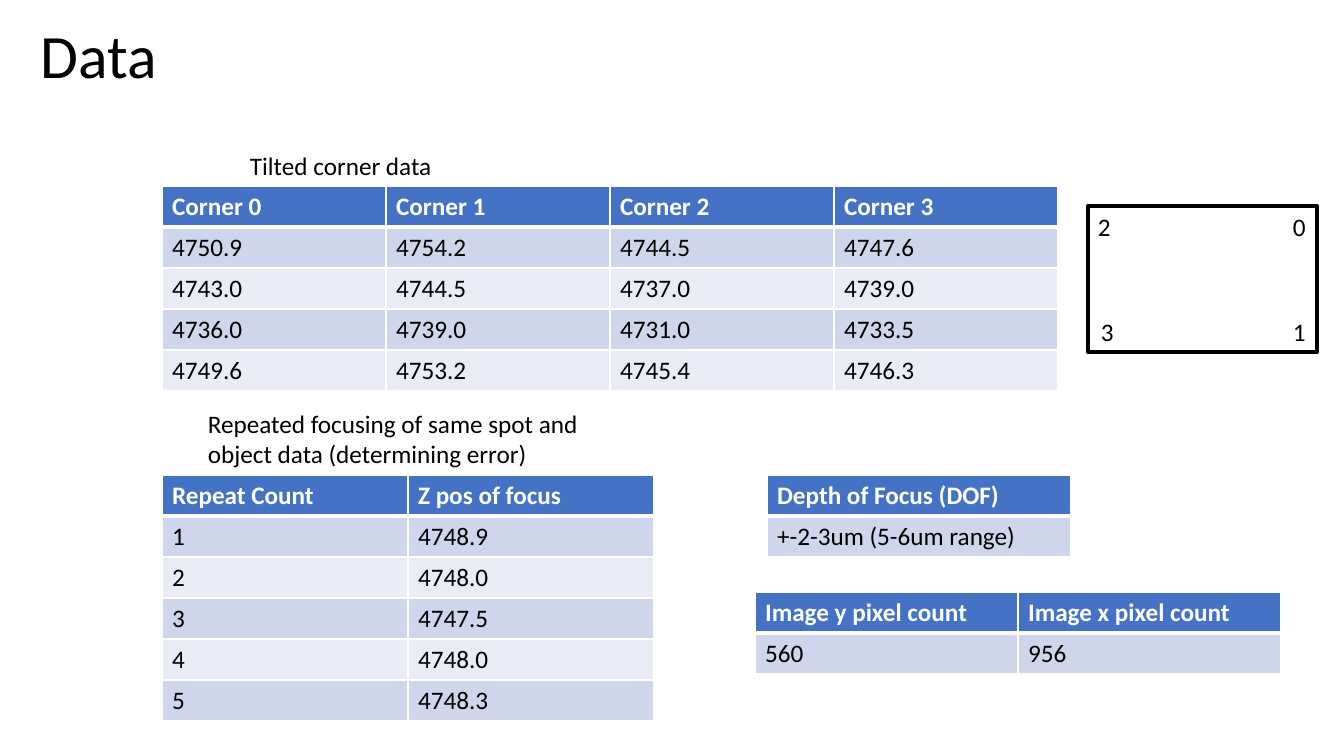
from lxml import etree
from pptx import Presentation
from pptx.dml.color import RGBColor
from pptx.enum.shapes import MSO_SHAPE
from pptx.enum.text import MSO_ANCHOR
from pptx.oxml.ns import qn
from pptx.util import Pt

RECTANGLE = MSO_SHAPE.RECTANGLE
MIDDLE = MSO_ANCHOR.MIDDLE
PX = 12192000 / 1344  # EMU per px
FONT = "Calibri"
BLACK, WHITE = "000000", "FFFFFF"
HEADER_BLUE = "4472C4"
BANDS = ["CFD5EA", "E9EBF5"]
ROW_HEIGHT = 41

presentation = Presentation()
presentation.slide_width = int(1344 * PX)
presentation.slide_height = int(756 * PX)
slide = presentation.slides.add_slide(presentation.slide_layouts[6])


def add_text(text, left, top, width, height, size=18, wrap=True):
    box = slide.shapes.add_textbox(*(int(n * PX) for n in (left, top, width, height)))
    box.text_frame.word_wrap = wrap
    box.text_frame.text = text
    font = box.text_frame.paragraphs[0].runs[0].font
    font.name, font.size = FONT, Pt(size)
    font.color.rgb = RGBColor.from_string(BLACK)
    return box


def add_data_table(left, top, column_width, rows):
    columns = len(rows[0])
    frame = slide.shapes.add_table(
        len(rows), columns, int(left * PX), int(top * PX),
        int(columns * column_width * PX), int(len(rows) * ROW_HEIGHT * PX))
    table = frame.table
    for column in table.columns:
        column.width = int(column_width * PX)
    for r, values in enumerate(rows):
        is_header = r == 0
        for c, value in enumerate(values):
            cell = table.cell(r, c)
            cell.text = value
            font = cell.text_frame.paragraphs[0].runs[0].font
            font.name, font.size, font.bold = FONT, Pt(18), is_header
            font.color.rgb = RGBColor.from_string(WHITE if is_header else BLACK)
            cell.fill.solid()
            cell.fill.fore_color.rgb = RGBColor.from_string(
                HEADER_BLUE if is_header else BANDS[(r - 1) % 2])

            # White borders, thicker under the header
            properties = cell._tc.get_or_add_tcPr()
            top_width = 3 if r == 1 else 1
            bottom_width = 3 if is_header else 1
            sides = [("L", 1), ("R", 1), ("T", top_width), ("B", bottom_width)]
            for index, (side, points) in enumerate(sides):
                line = etree.Element(qn(f"a:ln{side}"), w=str(Pt(points)))
                fill = etree.SubElement(line, qn("a:solidFill"))
                etree.SubElement(fill, qn("a:srgbClr"), val=WHITE)
                properties.insert(index, line)


# Title
title = add_text("Data", 31, 15, 194, 88, size=44, wrap=False)
title.text_frame.vertical_anchor = MIDDLE
title.text_frame.paragraphs[0].line_spacing = 0.9

# Tilted corner measurements
add_text("Tilted corner data", 240, 145, 204, 40, wrap=False)
add_data_table(162, 186, 224, [
    ["Corner 0", "Corner 1", "Corner 2", "Corner 3"],
    ["4750.9", "4754.2", "4744.5", "4747.6"],
    ["4743.0", "4744.5", "4737.0", "4739.0"],
    ["4736.0", "4739.0", "4731.0", "4733.5"],
    ["4749.6", "4753.2", "4745.4", "4746.3"],
])

# Corner numbering diagram
corner_frame = slide.shapes.add_shape(
    RECTANGLE, *(int(n * PX) for n in (1088, 206, 229, 146)))
corner_frame.shadow.inherit = False
corner_frame.fill.background()
corner_frame.line.color.rgb = RGBColor.from_string(BLACK)
corner_frame.line.width = Pt(3)
for number, left, top in [("0", 1283, 206), ("1", 1283, 311),
                          ("2", 1088, 206), ("3", 1091, 311)]:
    add_text(number, left, top, 40, 40)

# Repeated focusing
add_text("Repeated focusing of same spot and object data (determining error)",
         198, 403, 421, 72)
add_data_table(162, 475, 246, [
    ["Repeat Count", "Z pos of focus"],
    ["1", "4748.9"],
    ["2", "4748.0"],
    ["3", "4747.5"],
    ["4", "4748.0"],
    ["5", "4748.3"],
])

# Depth of focus and image size
add_data_table(767, 475, 304, [["Depth of Focus (DOF)"], ["+-2-3um (5-6um range)"]])
add_data_table(755, 592, 263, [
    ["Image y pixel count", "Image x pixel count"],
    ["560", "956"],
])

presentation.save("out.pptx")
